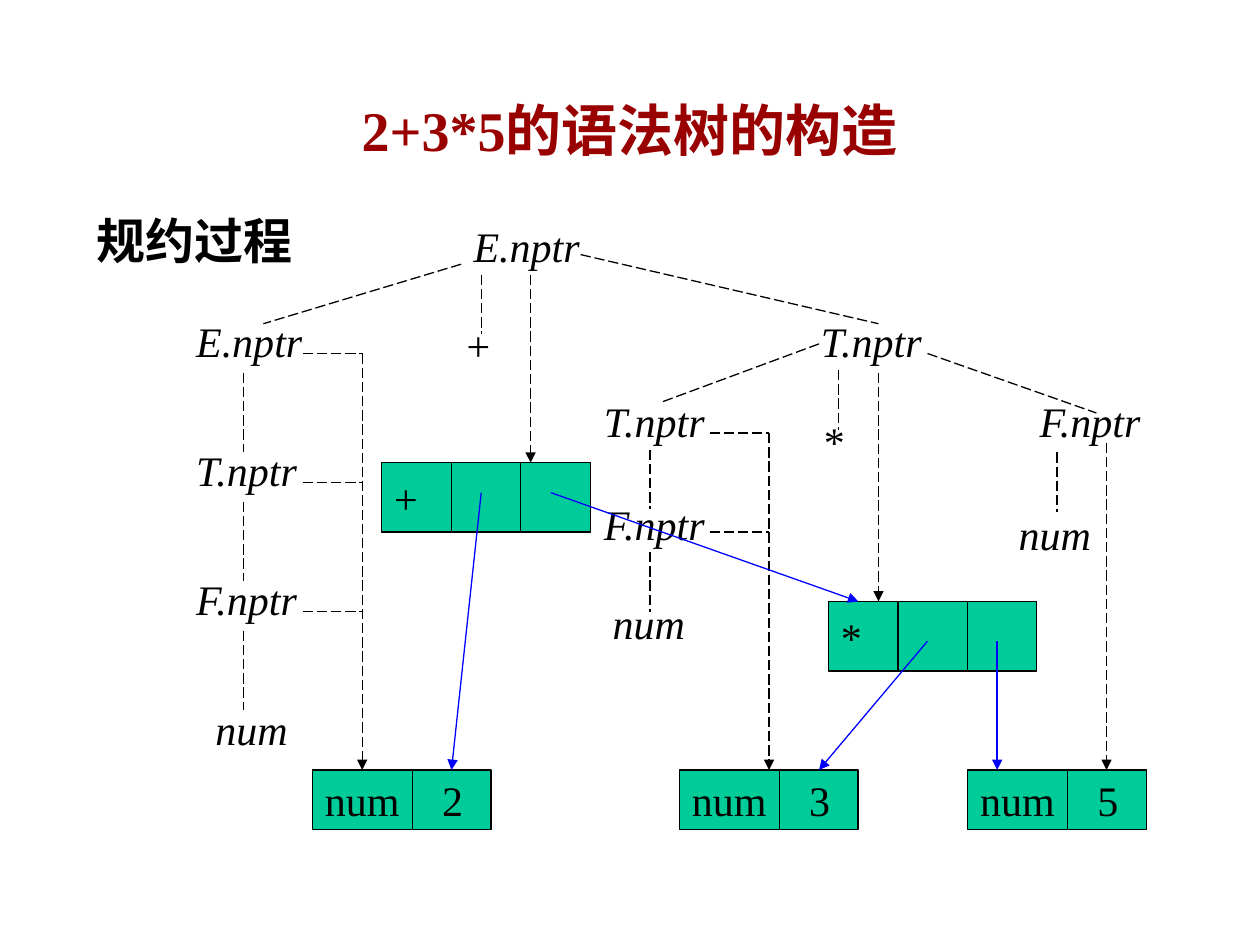
"""Build the slide on constructing the syntax tree of 2+3*5."""
from pptx import Presentation
from pptx import util as u
from pptx.dml.color import RGBColor
from pptx.enum import dml, shapes, text
from pptx.oxml.ns import qn
from lxml import etree

FONT = "Times New Roman"
BLACK = RGBColor(0x00, 0x00, 0x00)
BLUE = RGBColor(0x00, 0x00, 0xFF)
RED = RGBColor(0x99, 0x00, 0x00)
GREEN = RGBColor(0x00, 0xCC, 0x99)

LEAF_TOP, LEAF_WIDTH, LEAF_HEIGHT, LEAF_SPLIT = 440, 102, 34, 57
NODE_CELL, NODE_HEIGHT = 39.7, 39.7
VALUE_TAB = 67
LEFT_X, LEFT_TOP, LEFT_STEP = 105, 177, 73.7

LABELS = [
    ("E.nptr", 263.5, 122.4), ("+", 258, 179), ("T.nptr", 462, 177),
    ("T.nptr", 338, 222.5), ("*", 462.5, 234), ("F.nptr", 587, 222.5),
    ("F.nptr", 338, 281.5), ("num", 343, 338), ("num", 575, 287),
    ("num", 116, 398.5),
]
LEAVES = [("2", 178.6), ("3", 388.3), ("5", 553)]
NODES = [("*", 473.4, 343.7), ("+", 218.2, 264.4)]

BRANCHES = [
    (263.5, 151, 150.5, 185), (275, 157, 275, 191), (331.8, 145.5, 502, 185),
    (468, 196.5, 377.5, 230), (479, 211.5, 479, 245.5), (530, 202, 626.5, 236),
    (371.5, 257, 371.5, 291), (371.5, 315.5, 371.5, 349.5),
    (604, 258.5, 604, 292.5),
    (405.5, 247.5, 439.5, 247.5), (405.5, 304, 439.5, 304),
]
DASHED_ARROWS = [
    (207, 202, 207, 440), (439.5, 247.5, 439.5, 440), (632.3, 253, 632.3, 440),
    (502, 213, 502, 343.7), (303.2, 157, 303.2, 264.4),
]
POINTERS = [
    (569.8, 366.4, 569.8, 440), (530, 366.4, 468, 440),
    (275, 281.5, 258, 440), (314.7, 281.5, 490.5, 343.7),
]


def format_text(shape, size, color=BLACK, bold=False, italic=False):
    """Format every run of a shape."""
    for paragraph in shape.text_frame.paragraphs:
        for run in paragraph.runs:
            run.font.name = FONT
            run.font.size = u.Pt(size)
            run.font.bold = bold
            run.font.italic = italic
            run.font.color.rgb = color


def add_title(slide):
    """Place and format the title placeholder."""
    title = slide.shapes.title
    title.left, title.top = u.Pt(54), u.Pt(48)
    title.width, title.height = u.Pt(612), u.Pt(52)
    title.text_frame.text = "2+3*5的语法树的构造"
    title.text_frame.auto_size = text.MSO_AUTO_SIZE.NONE
    title.text_frame.vertical_anchor = text.MSO_ANCHOR.MIDDLE
    title.text_frame.paragraphs[0].alignment = text.PP_ALIGN.CENTER
    format_text(title, 32, RED, bold=True)


def add_label(slide, words, left, top, width=85, height=36, size=24, bold=False, italic=True):
    """Add a text box."""
    box = slide.shapes.add_textbox(u.Pt(left), u.Pt(top), u.Pt(width), u.Pt(height))
    box.text_frame.word_wrap = True
    box.text_frame.text = words
    format_text(box, size, bold=bold, italic=italic)


def add_line(slide, points, color=BLACK, dashed=False, arrow=False):
    """Add a straight line, optionally dashed or with an arrowhead."""
    line = slide.shapes.add_connector(
        shapes.MSO_CONNECTOR.STRAIGHT, *[u.Pt(value) for value in points])
    line.line.color.rgb = color
    line.line.width = u.Pt(0.75)
    if dashed:
        line.line.dash_style = dml.MSO_LINE.LONG_DASH
    properties = line._element.spPr
    if arrow:
        etree.SubElement(properties.find(qn("a:ln")), qn("a:tailEnd"), type="triangle")
    etree.SubElement(properties, qn("a:effectLst"))


def add_record(slide, words, left, top, width, height, splits):
    """Add a record box divided into fields."""
    shape = slide.shapes.add_shape(
        shapes.MSO_SHAPE.RECTANGLE, u.Pt(left), u.Pt(top), u.Pt(width), u.Pt(height))
    shape.shadow.inherit = False
    shape.fill.solid()
    shape.fill.fore_color.rgb = GREEN
    shape.line.color.rgb = BLACK
    shape.line.width = u.Pt(0.75)
    frame = shape.text_frame
    frame.word_wrap = True
    frame.vertical_anchor = text.MSO_ANCHOR.MIDDLE
    frame.text = words
    paragraph = frame.paragraphs[0]
    paragraph.alignment = text.PP_ALIGN.LEFT
    if "\t" in words:
        tabs = etree.SubElement(paragraph._p.get_or_add_pPr(), qn("a:tabLst"))
        etree.SubElement(tabs, qn("a:tab"), pos=str(u.Pt(VALUE_TAB)), algn="l")
    format_text(shape, 24)
    for split in splits:
        add_line(slide, (left + split, top, left + split, top + height))


def add_left_chain(slide):
    """Add the chain of reductions on the left side."""
    for index, words in enumerate(("E.nptr", "T.nptr", "F.nptr")):
        top = LEFT_TOP + index * LEFT_STEP
        add_label(slide, words, LEFT_X, top)
        add_line(slide, (139, top + 36, 139, top + 81.5), dashed=True)
        add_line(slide, (173, top + 25, 207, top + 25), dashed=True)


def main():
    """Build and save the slide."""
    presentation = Presentation()
    presentation.slide_width, presentation.slide_height = u.Pt(720), u.Pt(540)
    slide = presentation.slides.add_slide(presentation.slide_layouts[5])
    add_title(slide)
    add_label(slide, "规约过程", 48, 117, 142, 41, size=28, bold=True, italic=False)
    add_left_chain(slide)
    for label in LABELS:
        add_label(slide, *label)
    for value, left in LEAVES:
        add_record(slide, f"num\t{value}", left, LEAF_TOP, LEAF_WIDTH, LEAF_HEIGHT, [LEAF_SPLIT])
    for operator, left, top in NODES:
        add_record(slide, operator, left, top, 3 * NODE_CELL, NODE_HEIGHT,
                   [NODE_CELL, 2 * NODE_CELL])
    for points in BRANCHES:
        add_line(slide, points, dashed=True)
    for points in DASHED_ARROWS:
        add_line(slide, points, dashed=True, arrow=True)
    for points in POINTERS:
        add_line(slide, points, BLUE, arrow=True)
    presentation.save("out.pptx")


if __name__ == "__main__":
    main()
